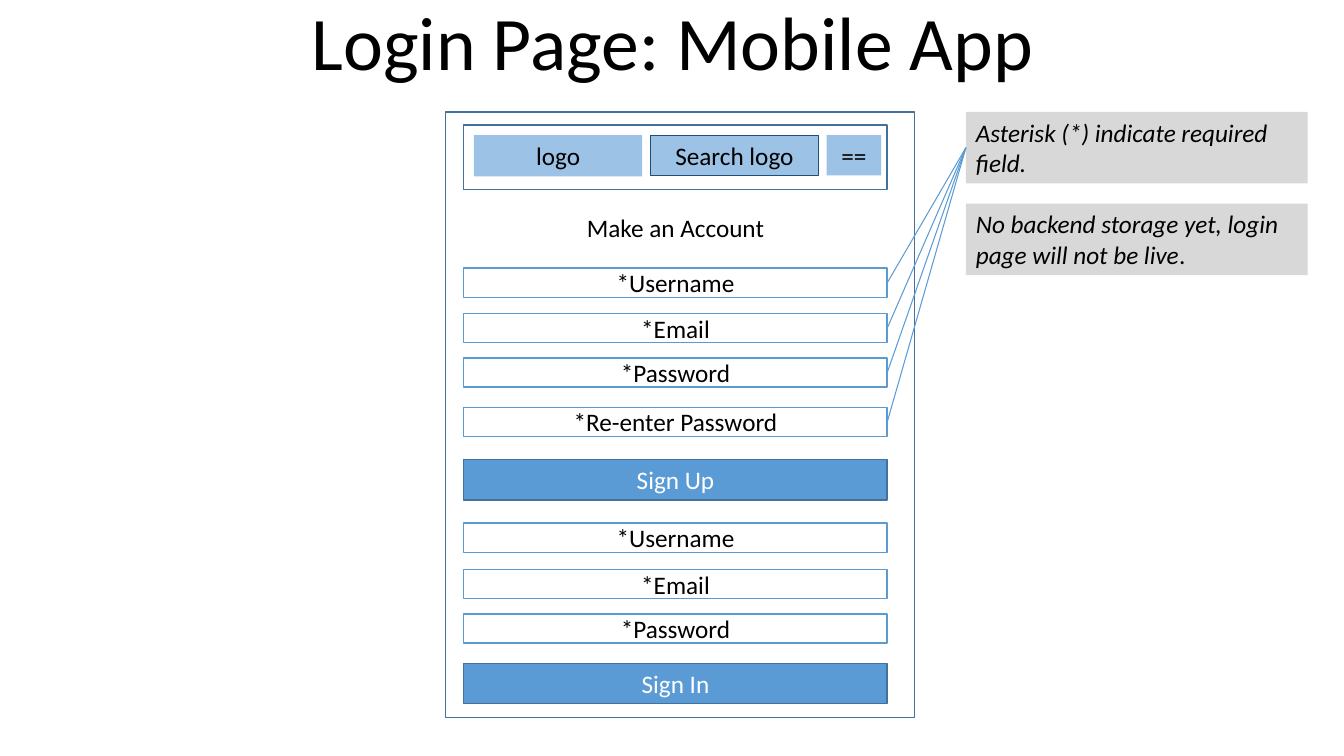
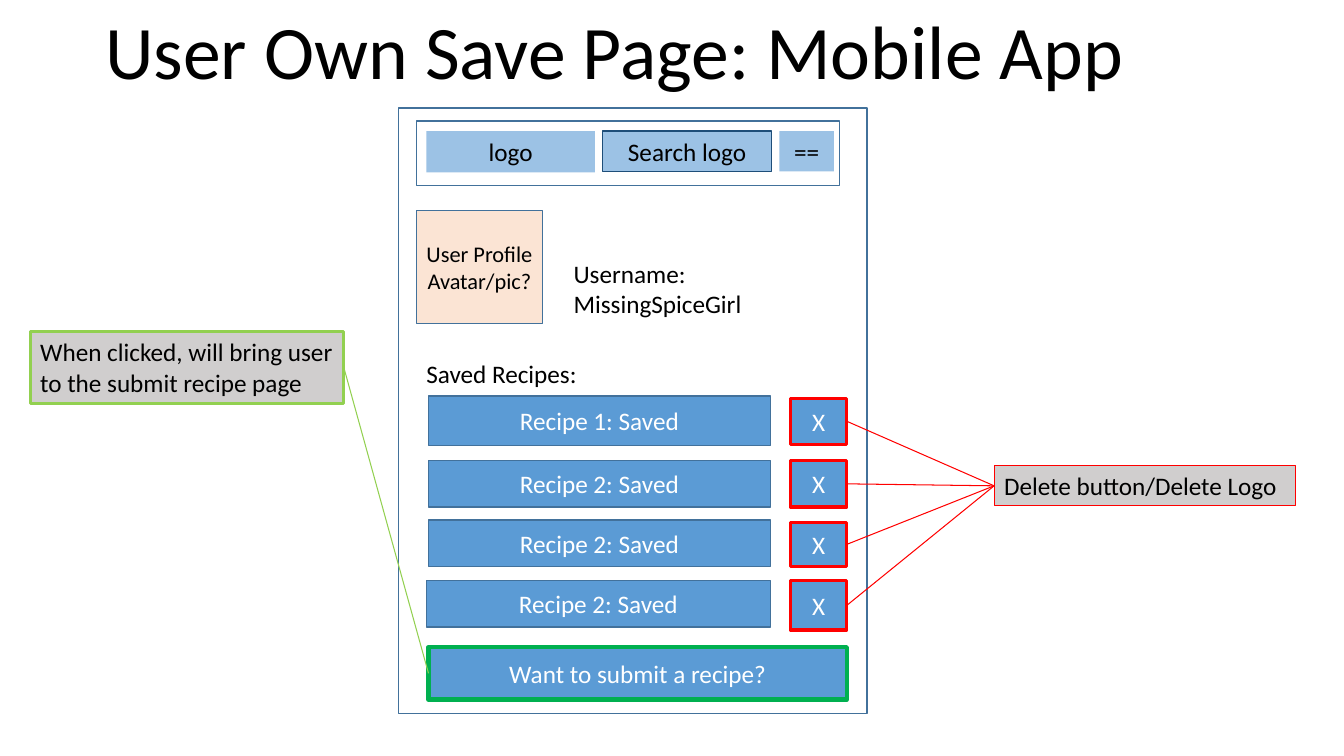
from dataclasses import dataclass

from lxml import etree
from pptx import Presentation
from pptx.dml.color import RGBColor
from pptx.enum.shapes import MSO_CONNECTOR as Connector, MSO_SHAPE as Shape
from pptx.enum.text import MSO_ANCHOR as Anchor, MSO_AUTO_SIZE as AutoSize, PP_ALIGN as Align
from pptx.oxml.ns import qn
from pptx.util import Inches, Pt


@dataclass(frozen=True)
class Theme:
    font: str = "Calibri"
    title_size: float = 54
    body_size: float = 18
    small_size: float = 16
    text: str = "000000"
    light_text: str = "FFFFFF"
    outline: str = "42719B"
    accent: str = "5B9BD5"
    header: str = "9CC2E5"
    header_line: str = "1E4E79"
    avatar: str = "FBE4D4"
    light_note: str = "D8D8D8"
    note: str = "D0CECE"
    delete: str = "FF0000"
    submit: str = "00B050"
    submit_note: str = "92D050"
    thin: float = 0.75
    normal: float = 1
    bold: float = 2.25
    heavy: float = 3


THEME = Theme()
RIGHT, LEFT = 3, 1  # connection sites of a rectangle


# Text
def write_text(shape, text, size=THEME.body_size, color=THEME.text, align=Align.CENTER,
               anchor=Anchor.MIDDLE, italic=False, plain_end="", line_spacing=None):
    """Write one paragraph; plain_end follows the text without italics."""
    frame = shape.text_frame
    frame.word_wrap = True
    frame.auto_size = AutoSize.NONE
    frame.vertical_anchor = anchor
    frame.margin_left = frame.margin_right = Inches(0.1)
    frame.margin_top = frame.margin_bottom = Inches(0.05)
    paragraph = frame.paragraphs[0]
    paragraph.alignment = align
    if line_spacing:
        paragraph.line_spacing = line_spacing
    for part, slanted in ((text, italic), (plain_end, False)):
        if part:
            run = paragraph.add_run()
            run.text = part
            run.font.name = THEME.font
            run.font.size = Pt(size)
            run.font.italic = slanted
            run.font.color.rgb = RGBColor.from_string(color)


def add_title(slide, text, left, top, width):
    title = slide.shapes.title
    title.left, title.top = Inches(left), Inches(top)
    title.width, title.height = Inches(width), Inches(0.83)
    write_text(title, text, size=THEME.title_size, anchor=Anchor.BOTTOM, line_spacing=0.9)


def add_label(slide, text, left, top, width, height, align=Align.LEFT):
    label = slide.shapes.add_textbox(Inches(left), Inches(top), Inches(width), Inches(height))
    write_text(label, text, align=align, anchor=Anchor.TOP)


# Shapes and lines
def add_box(slide, left, top, width, height, text="", fill=None, line=None,
            weight=THEME.normal, **text_format):
    box = slide.shapes.add_shape(
        Shape.RECTANGLE, Inches(left), Inches(top), Inches(width), Inches(height))
    box.shadow.inherit = False
    if fill:
        box.fill.solid()
        box.fill.fore_color.rgb = RGBColor.from_string(fill)
    else:
        box.fill.background()
    if line:
        box.line.color.rgb = RGBColor.from_string(line)
        box.line.width = Pt(weight)
    else:
        box.line.fill.background()
    if text:
        write_text(box, text, **text_format)
    return box


def add_button(slide, text, left, top, width, height, line=THEME.outline, weight=THEME.normal):
    return add_box(slide, left, top, width, height, text, fill=THEME.accent, line=line,
                   weight=weight, color=THEME.light_text)


def add_note(slide, text, left, top, width, height=0.71, **box_format):
    return add_box(slide, left, top, width, height, text, align=Align.LEFT,
                   anchor=Anchor.TOP, **box_format)


def connect(slide, start, end, color):
    """Join the right side of one box to the left side of another."""
    connector = slide.shapes.add_connector(Connector.STRAIGHT, 0, 0, 0, 0)
    connector.begin_connect(start, RIGHT)
    connector.end_connect(end, LEFT)
    connector.line.color.rgb = RGBColor.from_string(color)
    connector.line.width = Pt(THEME.thin)
    etree.SubElement(connector._element.spPr, qn("a:effectLst"))


# Phone outline with its header bar
def add_phone(slide, left, top):
    add_box(slide, left, top, 4.65, 6.01, line=THEME.outline)
    for text, offset, width, height, line in (
            ("Search logo", 2.03, 1.67, 0.4, THEME.header_line),
            ("logo", 0.28, 1.67, 0.41, None),
            ("==", 3.78, 0.54, 0.4, None)):
        add_box(slide, left + offset, top + 0.23, width, height, text, fill=THEME.header,
                line=line, weight=THEME.thin, anchor=Anchor.TOP)
    add_box(slide, left + 0.18, top + 0.13, 4.2, 0.64, line=THEME.outline)


def add_form(slide, fields, button, button_top, left=4.6, width=4.2):
    boxes = [add_box(slide, left, top, width, 0.29, text, line=THEME.accent)
             for text, top in fields]
    add_button(slide, button, left, button_top, width, 0.4)
    return boxes


# Slides
def build_login(slide):
    add_title(slide, "Login Page: Mobile App ", 2.68, 0.08, 8.15)
    add_phone(slide, 4.42, 1.11)
    add_label(slide, "Make an Account", 4.6, 2.06, 4.2, 0.4, align=Align.CENTER)
    required = add_form(slide, [("*Username", 2.66), ("*Email", 3.11), ("*Password", 3.55),
                                ("*Re-enter Password", 4.04)], "Sign Up", 4.56)
    add_form(slide, [("*Username", 5.19), ("*Email", 5.65), ("*Password", 6.09)],
             "Sign In", 6.58)
    required_note = add_note(slide, "Asterisk (*) indicate required field.", 9.58, 1.11, 3.39,
                             fill=THEME.light_note, italic=True)
    add_note(slide, "No backend storage yet, login page will not be live", 9.58, 2.02, 3.39,
             fill=THEME.light_note, italic=True, plain_end=".")
    for field in required:
        connect(slide, field, required_note, THEME.accent)


def build_saved(slide):
    add_title(slide, "User Own Save Page: Mobile App ", 0.46, 0.17, 11.44)
    add_phone(slide, 3.95, 1.07)
    # Profile
    add_box(slide, 4.13, 2.09, 1.25, 1.12, "User Profile Avatar/pic?", fill=THEME.avatar,
            line=THEME.outline, size=THEME.small_size)
    add_label(slide, "Username: MissingSpiceGirl", 5.59, 2.51, 2.53, 0.71)
    # Saved recipes with their delete buttons
    add_label(slide, "Saved Recipes:", 4.13, 3.51, 4.2, 0.4)
    delete_note = add_note(slide, "Delete button/Delete Logo", 9.86, 4.62, 2.99, 0.4,
                           fill=THEME.note, line=THEME.delete, weight=THEME.thin)
    for number, left, top, height, delete_top, delete_height in (
            (1, 4.25, 3.93, 0.49, 3.95, 0.46),
            (2, 4.25, 4.57, 0.46, 4.57, 0.46),
            (2, 4.25, 5.16, 0.46, 5.18, 0.44),
            (2, 4.23, 5.76, 0.46, 5.76, 0.49)):
        add_button(slide, f"Recipe {number}: Saved", left, top, 7.64 - left, height)
        delete = add_button(slide, "X", 7.84, delete_top, 0.56, delete_height,
                            line=THEME.delete, weight=THEME.bold)
        connect(slide, delete, delete_note, THEME.delete)
    # Submit button
    submit = add_button(slide, "Want to submit a recipe?", 4.25, 6.42, 4.15, 0.52,
                        line=THEME.submit, weight=THEME.heavy)
    submit_note = add_note(slide, "When clicked, will bring user to the submit recipe page",
                           0.3, 3.29, 3.11, fill=THEME.note, line=THEME.submit_note,
                           weight=THEME.bold)
    connect(slide, submit_note, submit, THEME.submit_note)


def main():
    presentation = Presentation()
    presentation.slide_width, presentation.slide_height = Inches(13.33), Inches(7.5)
    title_only = presentation.slide_layouts[5]
    for build in (build_login, build_saved):
        build(presentation.slides.add_slide(title_only))
    presentation.save("out.pptx")


if __name__ == "__main__":
    main()
